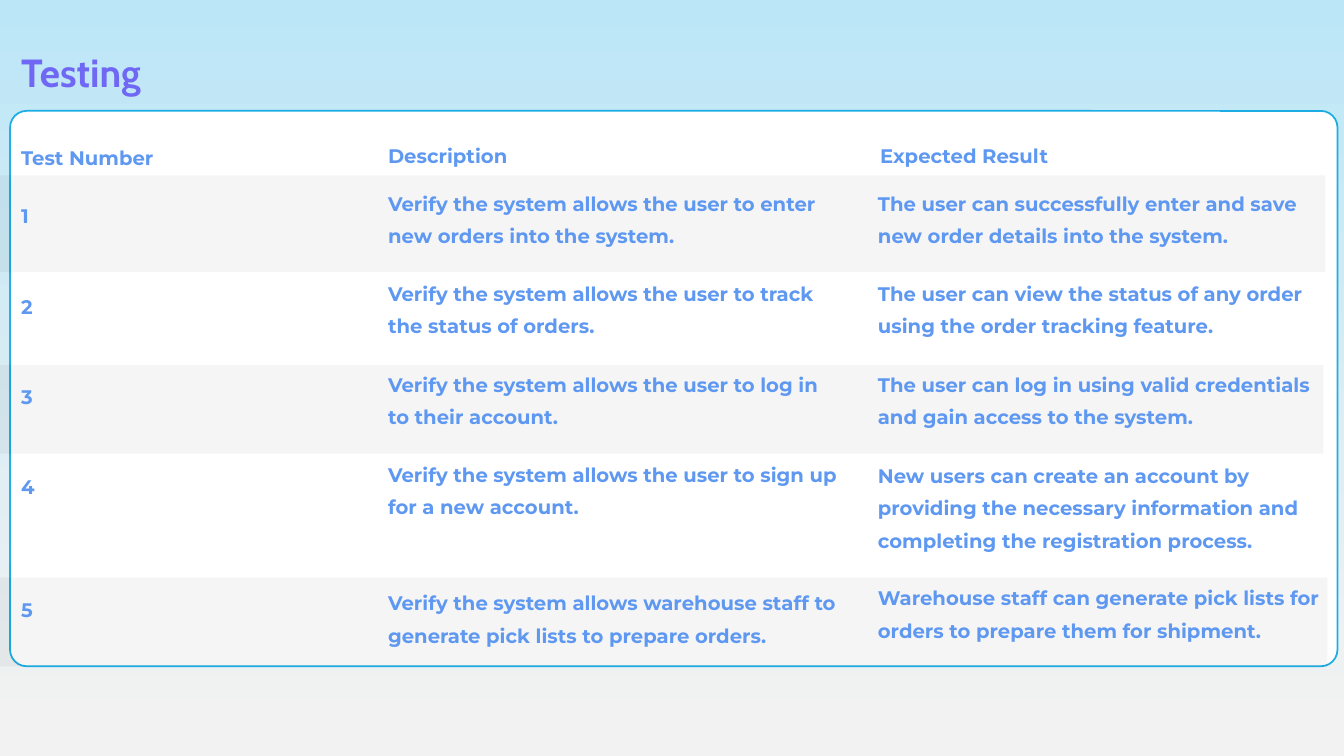
"""Build the Testing slide: a striped list of test cases on a rounded panel."""
from lxml import etree
from pptx import Presentation
from pptx.dml.color import RGBColor
from pptx.enum.shapes import MSO_SHAPE
from pptx.oxml.ns import qn
from pptx.util import Pt

RECTANGLE = MSO_SHAPE.RECTANGLE
ROUNDED = MSO_SHAPE.ROUNDED_RECTANGLE

COLORS = {
    "sky": "BBE6F7",
    "mist": "F2F2F2",
    "title": "7068F4",
    "text": "5E98F1",
    "panel": "FFFFFF",
    "border": "1CADE4",
    "light": "FFFFFF",
    "dark": "000000",
}
TITLE = "Testing"
ROWS = [
    {"stripe": (89.3, 936.7, 40.3), "cells": [
        ("Test Number", 97.9, 1),
        ("Description", 96.5, 1),
        ("Expected Result", 96.5, 1)]},
    {"stripe": (125.3, 946.8, 69.1), "cells": [
        ("1", 139.7, 1),
        ("Verify the system allows the user to enter new orders into the system.", 131, 2),
        ("The user can successfully enter and save new order details into the system.", 131, 2)]},
    {"stripe": (195.8, 947.5, 63.4), "cells": [
        ("2", 204.5, 1),
        ("Verify the system allows the user to track the status of orders.", 195.1, 2),
        ("The user can view the status of any order using the order tracking feature.", 195.1, 2)]},
    {"stripe": (260.6, 945.4, 63.4), "cells": [
        ("3", 268.9, 1),
        ("Verify the system allows the user to log in to their account.", 259.9, 2),
        ("The user can log in using valid credentials and gain access to the system.", 259.9, 2)]},
    {"stripe": (325.4, 948.2, 77.8), "cells": [
        ("4", 333.4, 1),
        ("Verify the system allows the user to sign up for a new account.", 324.7, 2),
        ("New users can create an account by providing the necessary information "
         "and completing the registration process.", 325.4, 3)]},
    {"stripe": (412.6, 948.2, 63.4), "cells": [
        ("5", 421.2, 1),
        ("Verify the system allows warehouse staff to generate pick lists to prepare orders.",
         416.2, 2),
        ("Warehouse staff can generate pick lists for orders to prepare them for shipment.",
         412.6, 2)]},
]
HEADER_LEFTS = (15.1, 277.2, 628.6)
BODY_LEFTS = (15.1, 277.2, 627.1)
COLUMN_WIDTH = 321.1
LINE_HEIGHT = 22.5
STRIPE_ALPHA = 4


def rgb(name):
    return RGBColor.from_string(COLORS[name])


def add_block(slide, kind, left, top, width, height, color):
    block = slide.shapes.add_shape(kind, Pt(left), Pt(top), Pt(width), Pt(height))
    block.shadow.inherit = False
    block.fill.solid()
    block.fill.fore_color.rgb = rgb(color)
    block.line.fill.background()
    return block


def add_stripe(slide, top, width, height, color):
    stripe = add_block(slide, RECTANGLE, 0, top, width, height, color)
    tint = stripe.fill._xPr.find(qn("a:solidFill")).find(qn("a:srgbClr"))
    etree.SubElement(tint, qn("a:alpha")).set("val", str(STRIPE_ALPHA * 1000))


def add_label(slide, wording, left, top, width, height, font, size, color, spacing, wrap):
    frame = slide.shapes.add_textbox(Pt(left), Pt(top), Pt(width), Pt(height)).text_frame
    frame.margin_left = frame.margin_top = frame.margin_right = frame.margin_bottom = 0
    frame.word_wrap = wrap
    paragraph = frame.paragraphs[0]
    paragraph.line_spacing = Pt(spacing)
    run = paragraph.add_run()
    run.text = wording
    run.font.name = font
    run.font.size = Pt(size)
    run.font.bold = True
    run.font.color.rgb = rgb(color)


def main():
    deck = Presentation()
    deck.slide_width, deck.slide_height = Pt(960), Pt(540)
    slide = deck.slides.add_slide(deck.slide_layouts[6])

    backdrop = slide.background.fill
    backdrop.gradient()
    backdrop.gradient_angle = 270
    for stop, color, position in zip(backdrop.gradient_stops, ("sky", "mist"), (0, 0.96)):
        stop.color.rgb = rgb(color)
        stop.position = position

    add_label(slide, TITLE, 15.1, 20.9, 123.1, 47.5, "Cabin", 28, "title", 47, False)
    panel = add_block(slide, ROUNDED, 7.2, 79.2, 948.2, 396.7, "panel")
    panel.adjustments[0] = 0.03
    panel.line.color.rgb = rgb("border")
    panel.line.width = Pt(1.25)

    for index, row in enumerate(ROWS):
        add_stripe(slide, *row["stripe"], "dark" if index % 2 else "light")
        lefts = BODY_LEFTS if index else HEADER_LEFTS
        for left, (wording, top, lines) in zip(lefts, row["cells"]):
            add_label(slide, wording, left, top, COLUMN_WIDTH, lines * LINE_HEIGHT,
                      "Montserrat", 14, "text", 23, lines > 1)

    deck.save("out.pptx")


if __name__ == "__main__":
    main()
